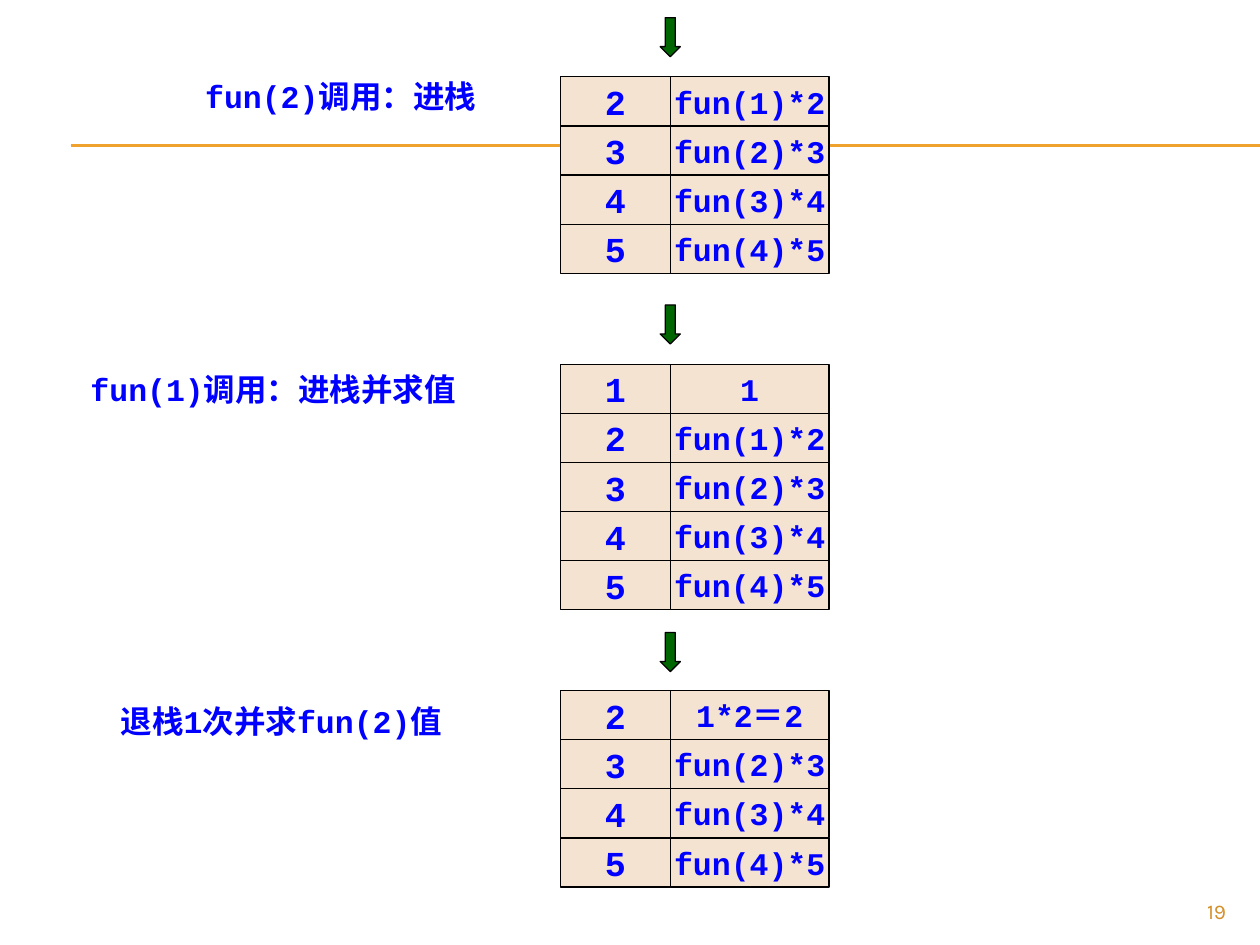
from lxml.etree import SubElement
from pptx import Presentation
from pptx.dml.color import RGBColor
from pptx.enum.shapes import MSO_CONNECTOR, MSO_SHAPE
from pptx.enum.text import MSO_ANCHOR, PP_ALIGN
from pptx.oxml.ns import qn
from pptx.util import Inches, Pt

COLORS = {
    "text": "0000FF",
    "cell": "F5E3D1",
    "arrow": "006600",
    "outline": "000000",
    "rule": "F0A22E",
    "number": "D48F29",
}

CALLS = [("3", "fun(2)*3"), ("4", "fun(3)*4"), ("5", "fun(4)*5")]
STAGES = [
    {"label": "fun(2)调用：进栈", "label_box": (1.53, 0.56, 2.6, 0.4),
     "arrow_top": 0.14, "top": 0.61, "rows": [("2", "fun(1)*2")] + CALLS},
    {"label": "fun(1)调用：进栈并求值", "label_box": (0.62, 2.89, 3.66, 0.4),
     "arrow_top": 2.42, "top": 2.89, "rows": [("1", "1"), ("2", "fun(1)*2")] + CALLS},
    {"label": "退栈1次并求fun(2)值", "label_box": (0.86, 5.52, 3.27, 0.4),
     "arrow_top": 5.02, "top": 5.48, "rows": [("2", "1*2＝2")] + CALLS},
]
COLUMNS = [(4.45, 0.87, 20), (5.32, 1.26, 18)]
ROW_HEIGHT = 0.39
RULE_HEIGHTS = [1.15, 1.16]


def color(name):
    return RGBColor.from_string(COLORS[name])


def write(shape, text, size, align, font_name="Courier New", font_color="text", bold=True):
    paragraph = shape.text_frame.paragraphs[0]
    paragraph.alignment = align
    run = paragraph.add_run()
    run.text = text
    run.font.color.rgb = color(font_color)
    for key, value in {"name": font_name, "size": Pt(size), "bold": bold}.items():
        setattr(run.font, key, value)


def add_block(slide, kind, box, fill):
    shape = slide.shapes.add_shape(kind, *map(Inches, box))
    shape.shadow.inherit = False
    shape.fill.solid()
    shape.fill.fore_color.rgb = color(fill)
    shape.line.color.rgb = color("outline")
    shape.line.width = Pt(0.75)
    return shape


def add_text(slide, box, *args, **kwargs):
    shape = slide.shapes.add_textbox(*map(Inches, box))
    shape.text_frame.word_wrap = True
    write(shape, *args, **kwargs)


def add_rule(slide, y):
    rule = slide.shapes.add_connector(
        MSO_CONNECTOR.STRAIGHT, Inches(0.56), Inches(y), Inches(10), Inches(y))
    rule.line.color.rgb = color("rule")
    rule.line.width = Pt(0.75)
    SubElement(rule._element.spPr, qn("a:effectLst"))


def add_stage(slide, stage):
    arrow_box = (5.24, stage["arrow_top"], 0.16, 0.31)
    arrow = add_block(slide, MSO_SHAPE.DOWN_ARROW, arrow_box, "arrow")
    arrow.adjustments[0] = 0.5
    arrow.adjustments[1] = 0.5
    for index, row in enumerate(stage["rows"]):
        top = stage["top"] + index * ROW_HEIGHT
        for text, (left, width, size) in zip(row, COLUMNS):
            cell = add_block(slide, MSO_SHAPE.RECTANGLE, (left, top, width, ROW_HEIGHT), "cell")
            cell.text_frame.word_wrap = False
            cell.text_frame.vertical_anchor = MSO_ANCHOR.MIDDLE
            write(cell, text, size, PP_ALIGN.CENTER)
    add_text(slide, stage["label_box"], stage["label"], 18, PP_ALIGN.LEFT)


def main():
    presentation = Presentation()
    presentation.slide_width = Inches(10)
    presentation.slide_height = Inches(7.5)
    slide = presentation.slides.add_slide(presentation.slide_layouts[6])
    for y in RULE_HEIGHTS:
        add_rule(slide, y)
    for stage in STAGES:
        add_stage(slide, stage)
    add_text(slide, (9, 7.08, 0.83, 0.27), "19", 12, PP_ALIGN.RIGHT,
             font_name="Karla", font_color="number", bold=False)
    presentation.save("out.pptx")


if __name__ == "__main__":
    main()
